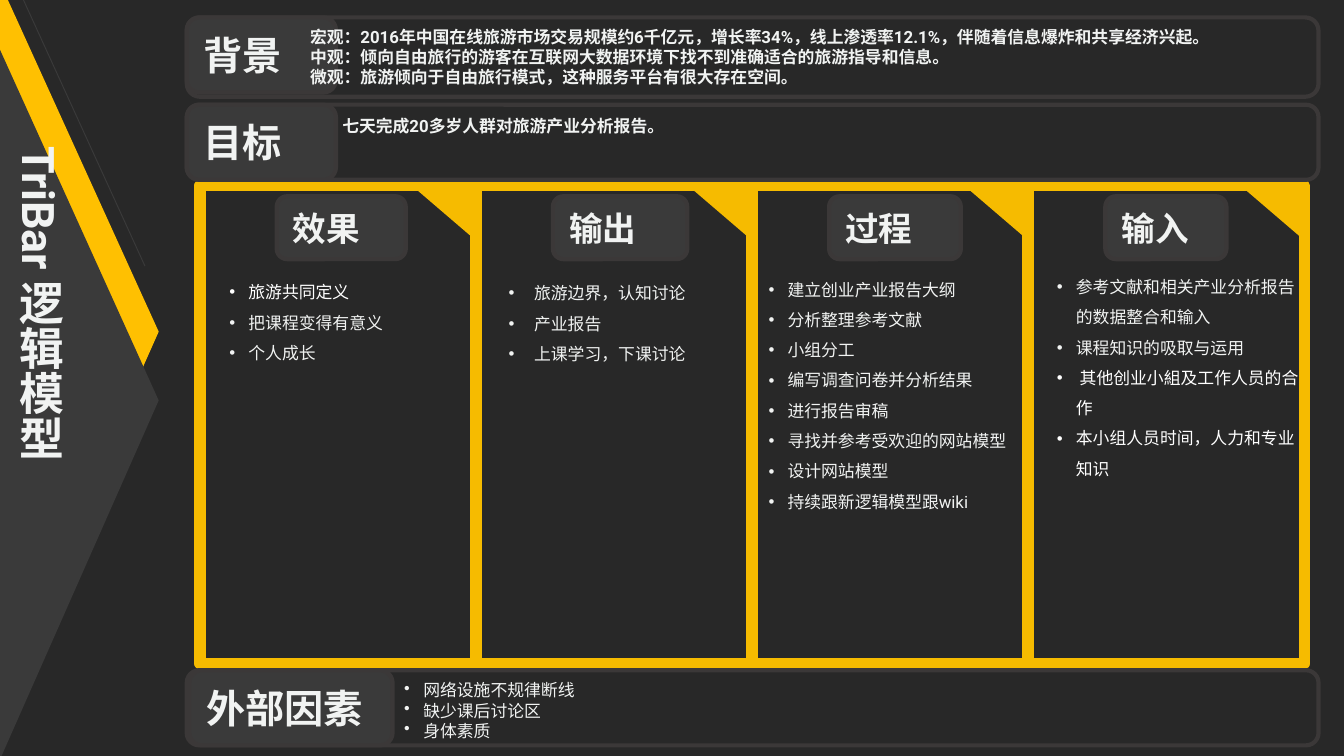
from dataclasses import dataclass

from lxml.etree import SubElement
from pptx import Presentation
from pptx.dml.color import RGBColor
from pptx.enum.shapes import MSO_CONNECTOR as Connector, MSO_SHAPE as Preset
from pptx.enum.text import MSO_ANCHOR as Anchor, MSO_AUTO_SIZE as AutoSize, PP_ALIGN as Align
from pptx.oxml.ns import qn
from pptx.util import Cm, Pt


@dataclass(frozen=True)
class Theme:
    night: str = "282828"
    panel: str = "3A3A3A"
    rim: str = "3B3838"
    gold: str = "F6BB00"
    ribbon: str = "FFC001"
    text: str = "F1F3F2"
    bright: str = "FFFFFF"
    font: str = "Roboto"
    title: float = 24
    row_label: float = 21
    column_label: float = 18
    body: float = 9


THEME = Theme()

ROWS = [
    ("背景", (3.53, 0.33, 21.39, 1.5), (3.53, 2.82), (5.61, 0.38, 18.47, 1.42), True, [
        "宏观：2016年中国在线旅游市场交易规模约6千亿元，增长率34%，线上渗透率12.1%，伴随着信息爆炸和共享经济兴起。",
        "中观：倾向自由旅行的游客在互联网大数据环境下找不到准确适合的旅游指导和信息。",
        "微观：旅游倾向于自由旅行模式，这种服务平台有很大存在空间。"]),
    ("目标", (3.53, 1.98, 21.39, 1.42), (3.53, 2.82), (6.22, 2.06, 19.53, 0.64), True, [
        "七天完成20多岁人群对旅游产业分析报告。"]),
    ("外部因素", (3.53, 12.67, 21.39, 1.42), (3.58, 3.84), (7.39, 12.73, 17.2, 1.42), False, [
        "网络设施不规律断线", "缺少课后讨论区", "身体素质"]),
]

COLUMNS = [
    ("效果", 2.44, (0.3, 1.5, 4.5, 1.98), 0.36, (0,), [
        "旅游共同定义", "把课程变得有意义", "个人成长"]),
    ("输出", 2.54, (0.36, 1.52, 4.8, 2.57), 0.48, (), [
        "旅游边界，认知讨论", "产业报告", "上课学习，下课讨论"]),
    ("过程", 2.49, (0.05, 1.45, 5.44, 4.88), 0.36, (), [
        "建立创业产业报告大纲", "分析整理参考文献", "小组分工", "编写调查问卷并分析结果",
        "进行报告审稿", "寻找并参考受欢迎的网站模型", "设计网站模型", "持续跟新逻辑模型跟wiki"]),
    ("输入", 2.29, (0.28, 1.4, 5.16, 4.29), 0.36, (2, 3), [
        "参考文献和相关产业分析报告的数据整合和输入", "课程知识的吸取与运用",
        " 其他创业小組及工作人员的合作", "本小组人员时间，人力和专业知识"]),
]


def rgb(colour):
    return RGBColor.from_string(colour)


def lengths(box):
    return [Cm(value) for value in box]


def paint(shape, fill=None, line=None, width=1):
    shape.shadow.inherit = False
    if fill:
        shape.fill.solid()
        shape.fill.fore_color.rgb = rgb(fill)
    else:
        shape.fill.background()
    if line:
        shape.line.color.rgb = rgb(line)
        shape.line.width = Pt(width)
    else:
        shape.line.fill.background()


def add_preset(slide, preset, box, **look):
    shape = slide.shapes.add_shape(preset, *lengths(box))
    paint(shape, **look)
    return shape


def write(frame, lines, size, bold=False, align=Align.LEFT, spacing=1.0,
          indent=0, bright=(), anchor=Anchor.TOP):
    frame.word_wrap = True
    frame.auto_size = AutoSize.NONE
    frame.vertical_anchor = anchor
    for number, line in enumerate(lines):
        paragraph = frame.add_paragraph() if number else frame.paragraphs[0]
        paragraph.text = line
        paragraph.alignment = align
        paragraph.line_spacing = spacing
        paragraph.space_before = Pt(0)
        font = paragraph.font
        font.name, font.size, font.bold = THEME.font, Pt(size), bold
        font.color.rgb = rgb(THEME.bright if number in bright else THEME.text)
        if indent:
            properties = paragraph._p.get_or_add_pPr()
            properties.set("marL", str(Cm(indent)))
            properties.set("indent", str(-Cm(indent)))
            bullet = SubElement(properties, qn("a:buChar"), char="•")
            properties.find(qn("a:defRPr")).addprevious(bullet)


def place(slide, placeholder, box):
    placeholder.left, placeholder.top, placeholder.width, placeholder.height = lengths(box)
    slide.shapes._spTree.append(placeholder._element)


def add_badge(slide, label, box, size):
    badge = add_preset(slide, Preset.ROUNDED_RECTANGLE, box,
                       fill=THEME.panel, line=THEME.rim, width=2.25)
    write(badge.text_frame, [label], size, bold=True, anchor=Anchor.MIDDLE)


def add_row(slide, label, box, badge_span, text_box, bold, lines):
    add_preset(slide, Preset.ROUNDED_RECTANGLE, box, line=THEME.rim, width=2.25)
    badge_left, badge_width = badge_span
    add_badge(slide, label, (badge_left, box[1], badge_width, 1.42), THEME.row_label)
    details = slide.shapes.add_textbox(*lengths(text_box))
    write(details.text_frame, lines, THEME.body, bold=bold, indent=0 if bold else 0.36)


def add_column(slide, placeholder, box, label, badge_width, list_box, indent, bright, items):
    left, top, width, _ = box
    add_preset(slide, Preset.RECTANGLE, box, line=THEME.gold, width=6)
    corner = add_preset(slide, Preset.RIGHT_TRIANGLE, (left + width - 1.27, top - 0.08, 1.19, 1.02),
                        fill=THEME.gold, line=THEME.gold)
    corner.rotation = 180
    add_badge(slide, label, (left + 1.45, top + 0.2, badge_width, 1.19), THEME.column_label)
    dx, dy, list_width, list_height = list_box
    place(slide, placeholder, (left + dx, top + dy, list_width, list_height))
    write(placeholder.text_frame, items, THEME.body, spacing=1.5, indent=indent, bright=bright)


def add_outline(slide, points, colour):
    start, *rest = [lengths(point) for point in points]
    builder = slide.shapes.build_freeform(*start)
    builder.add_line_segments(rest, close=True)
    paint(builder.convert_to_shape(), fill=colour)


def add_sidebar(slide, box, heading):
    left, top, width, height = box
    right, bottom = left + width, top + height
    add_outline(slide, [(left, top), (left + 0.15, top), (right, top + 6.27),
                        (left, top + 13.03)], THEME.ribbon)
    add_outline(slide, [(left, top + 0.94), (right, top + 7.57), (left + 0.03, bottom),
                        (left, bottom)], THEME.panel)
    ray = slide.shapes.add_connector(
        Connector.STRAIGHT, *lengths((left + 2.74, top + 5.03, left + 0.43, top - 0.03)))
    ray.line.color.rgb = rgb(THEME.panel)
    ray.line.width = Pt(0.5)
    SubElement(ray._element.spPr, qn("a:effectLst"))
    title = slide.shapes.title
    place(slide, title, (left - 0.03, top + 2.46, 1.55, 10.16))
    title.text_frame._txBody.bodyPr.set("vert", "eaVert")
    write(title.text_frame, [heading], THEME.title, bold=True, align=Align.CENTER)


def build():
    deck = Presentation()
    deck.slide_width, deck.slide_height = Cm(25.4), Cm(14.29)
    slide = deck.slides.add_slide(deck.slide_layouts.get_by_name("Comparison"))
    slide.background.fill.solid()
    slide.background.fill.fore_color.rgb = rgb(THEME.night)
    lists = [item for item in slide.placeholders if item.placeholder_format.idx]
    for number, (placeholder, column) in enumerate(zip(lists, COLUMNS)):
        add_column(slide, placeholder, (3.78 + 5.22 * number, 3.51, 5.21, 9.04), *column)
    for row in ROWS:
        add_row(slide, *row)
    add_sidebar(slide, (0, 0, 3, 14.29), " TriBar 逻辑模型")
    deck.save("out.pptx")


build()
